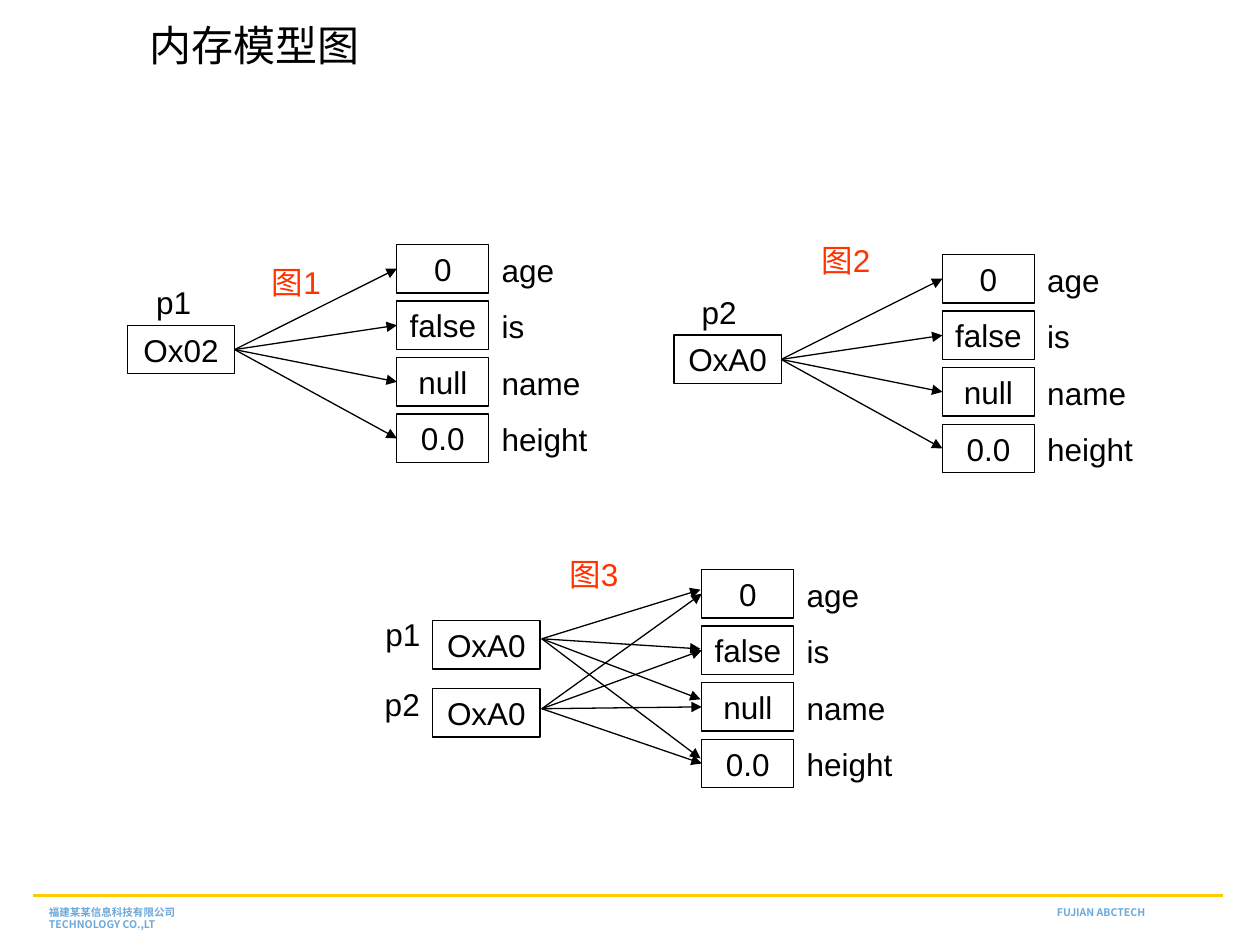
"""Build the memory model slide: three figures of references pointing at object fields."""
from lxml import etree
from pptx import Presentation
from pptx import util as u
from pptx.dml.color import RGBColor
from pptx.enum import shapes, text
from pptx.oxml.ns import qn

BLACK = RGBColor(0x00, 0x00, 0x00)
WHITE = RGBColor(0xFF, 0xFF, 0xFF)
RED = RGBColor(0xFF, 0x33, 0x00)
GOLD = RGBColor(0xFF, 0xCC, 0x00)
BLUE = RGBColor(0x6B, 0xA9, 0xDB)
CJK = "Noto Sans CJK SC"

FIELDS = [("0", "age", 6.4), ("false", "is", 4), ("null", "name", 8.5), ("0.0", "height", 9)]
PITCH, BOX_H, LABEL_H = 4.49, 3.85, 4
FIGURES = [
    ("图1", (20.6, 20.35), (31.5, 19.4), [("p1", 11.4, 22, "Ox02", 10.12, 25.82)]),
    ("图2", (64.2, 18.65), (74.8, 20.2), [("p2", 54.7, 22.75, "OxA0", 53.5, 26.6)]),
    ("图3", (44.2, 43.6), (55.7, 45.2), [("p2", 29.55, 53.9, "OxA0", 34.35, 54.65),
                                        ("p1", 29.6, 48.3, "OxA0", 34.35, 49.25)]),
]
SHARED_STARTS = {"p1": 50.7, "p2": 56.25}
SHARED_ENDS = [46.8, 51.5, 55.5, 60.2]

prs = Presentation()
prs.slide_width, prs.slide_height = u.Inches(10), u.Inches(7.5)
COL, ROW = prs.slide_width // 100, prs.slide_height // 75
s = prs.slides.add_slide(prs.slide_layouts[5])


def write(sp, words, size=18, color=BLACK, font="Arial", align=text.PP_ALIGN.LEFT,
          anchor=text.MSO_ANCHOR.TOP, wrap=False, tab=None):
    tf = sp.text_frame
    tf.word_wrap, tf.vertical_anchor = wrap, anchor
    tf.text = words
    p = tf.paragraphs[0]
    p.alignment = align
    if tab:
        tabs = etree.SubElement(p._p.get_or_add_pPr(), qn("a:tabLst"))
        etree.SubElement(tabs, qn("a:tab"), pos=str(int(tab)), algn="l")
    p.font.size, p.font.name, p.font.color.rgb = u.Pt(size), font, color
    etree.SubElement(p.font._element, qn("a:ea"), typeface=CJK)
    return p


def connect(parent, x1, y1, x2, y2, color=BLACK, width=0.75, arrow=True):
    line = parent.add_connector(shapes.MSO_CONNECTOR.STRAIGHT, int(x1 * COL), int(y1 * ROW),
                                int(x2 * COL), int(y2 * ROW))
    line.line.color.rgb, line.line.width = color, u.Pt(width)
    if arrow:
        etree.SubElement(line.line._get_or_add_ln(), qn("a:tailEnd"), type="triangle")
    etree.SubElement(line._element.spPr, qn("a:effectLst"))
    return line


connect(s.shapes, 2.6, 71.1, 97.1, 71.1, GOLD, 1.75, arrow=False)
footer = s.shapes.add_textbox(int(2.9 * COL), int(71.4 * ROW), 94 * COL, 3 * ROW)
p = write(footer, "福建某某信息科技有限公司\tFUJIAN ABCTECH TECHNOLOGY CO.,LT", 6, BLUE, CJK,
          wrap=True, tab=80 * COL)
p.font.bold = True

title = s.shapes.title
title.left, title.top = int(10.9 * COL), int(1.5 * ROW)
title.width, title.height = int(86.3 * COL), int(5.7 * ROW)
p = write(title, "内存模型图", 24, BLACK, CJK, wrap=True)
p.line_spacing = 0.9

for caption, (cap_x, cap_y), (field_x, field_y), refs in FIGURES:
    group = s.shapes.add_group_shape().shapes
    labels = [(caption, cap_x, cap_y, 6.5, RED)]
    boxes = []
    for i, (value, name, width) in enumerate(FIELDS):
        y = field_y + i * PITCH
        boxes.append((value, field_x, y, 7.3))
        labels.append((name, field_x + 7.33, y, width, BLACK))
    for name, x, y, address, box_x, box_y in refs:
        boxes.append((address, box_x, box_y, 8.5))
        labels.append((name, x, y, 4.8, BLACK))

    rects = []
    for words, x, y, width in boxes:
        sp = group.add_shape(shapes.MSO_SHAPE.RECTANGLE, int(x * COL), int(y * ROW),
                             int(width * COL), int(BOX_H * ROW))
        sp.shadow.inherit = False
        sp.fill.solid()
        sp.fill.fore_color.rgb = WHITE
        sp.line.color.rgb, sp.line.width = BLACK, u.Pt(0.75)
        write(sp, words, align=text.PP_ALIGN.CENTER, anchor=text.MSO_ANCHOR.MIDDLE)
        rects.append(sp)
    for words, x, y, width, color in labels:
        write(group.add_textbox(int(x * COL), int(y * ROW), int(width * COL), LABEL_H * ROW),
              words, color=color)

    shared = len(refs) > 1
    for ref, source in zip(refs, rects[len(FIELDS):]):
        for target, end_y in zip(rects[:len(FIELDS)], SHARED_ENDS):
            line = connect(group, 43, SHARED_STARTS[ref[0]], field_x - 0.1, end_y)
            if not shared:
                line.begin_connect(source, 3)
            if not shared or ref[0] == "p2":
                line.end_connect(target, 1)

prs.save("out.pptx")
